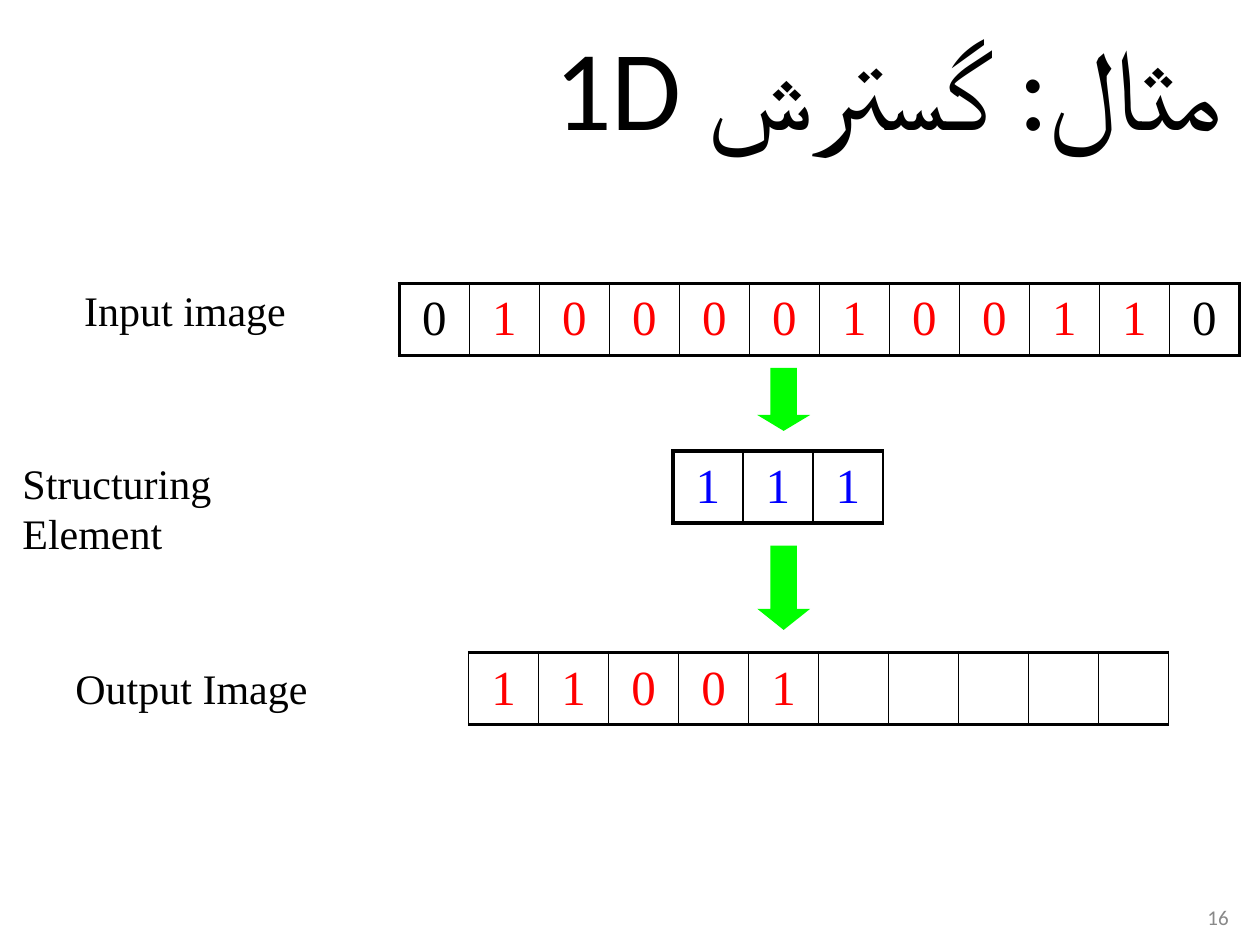
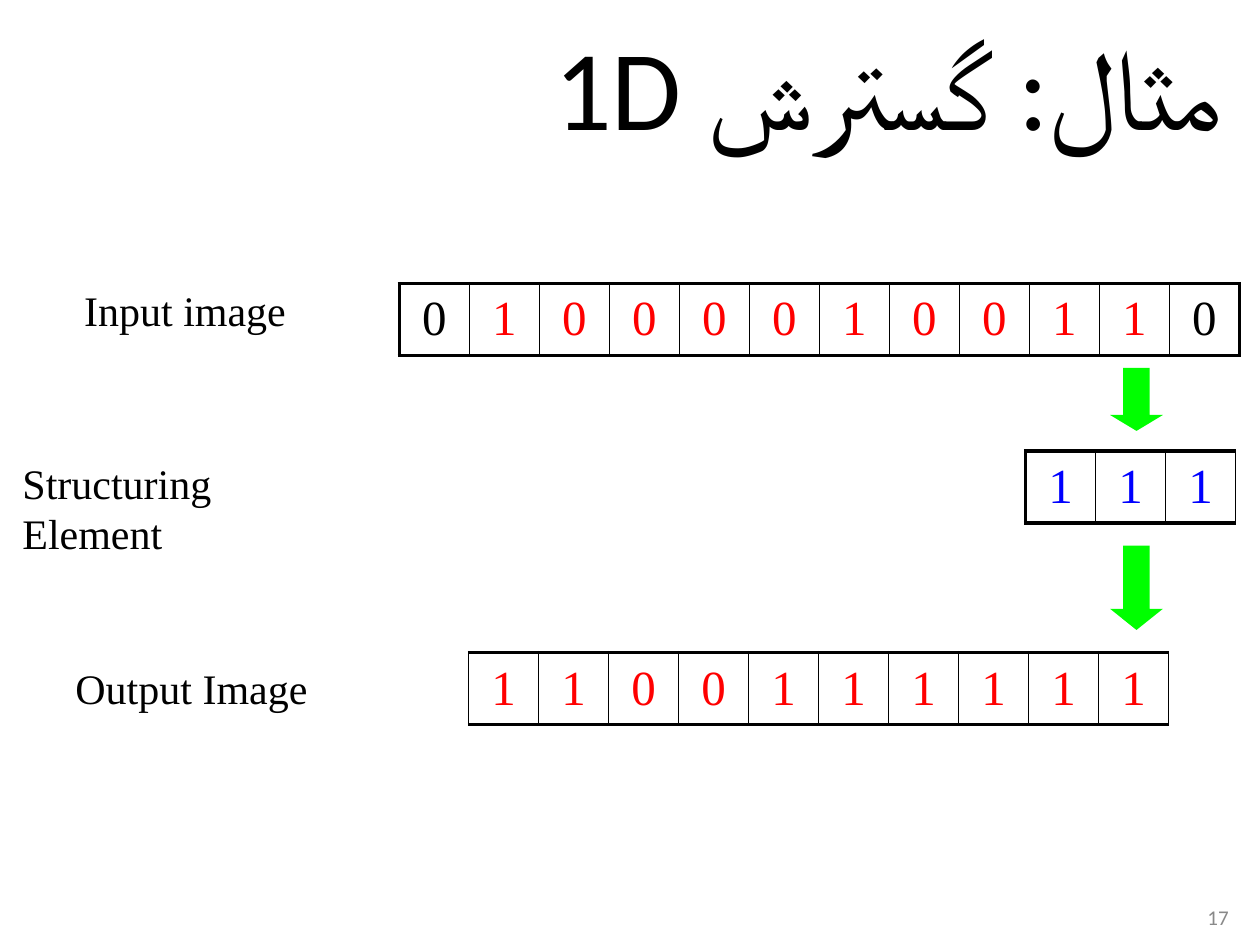
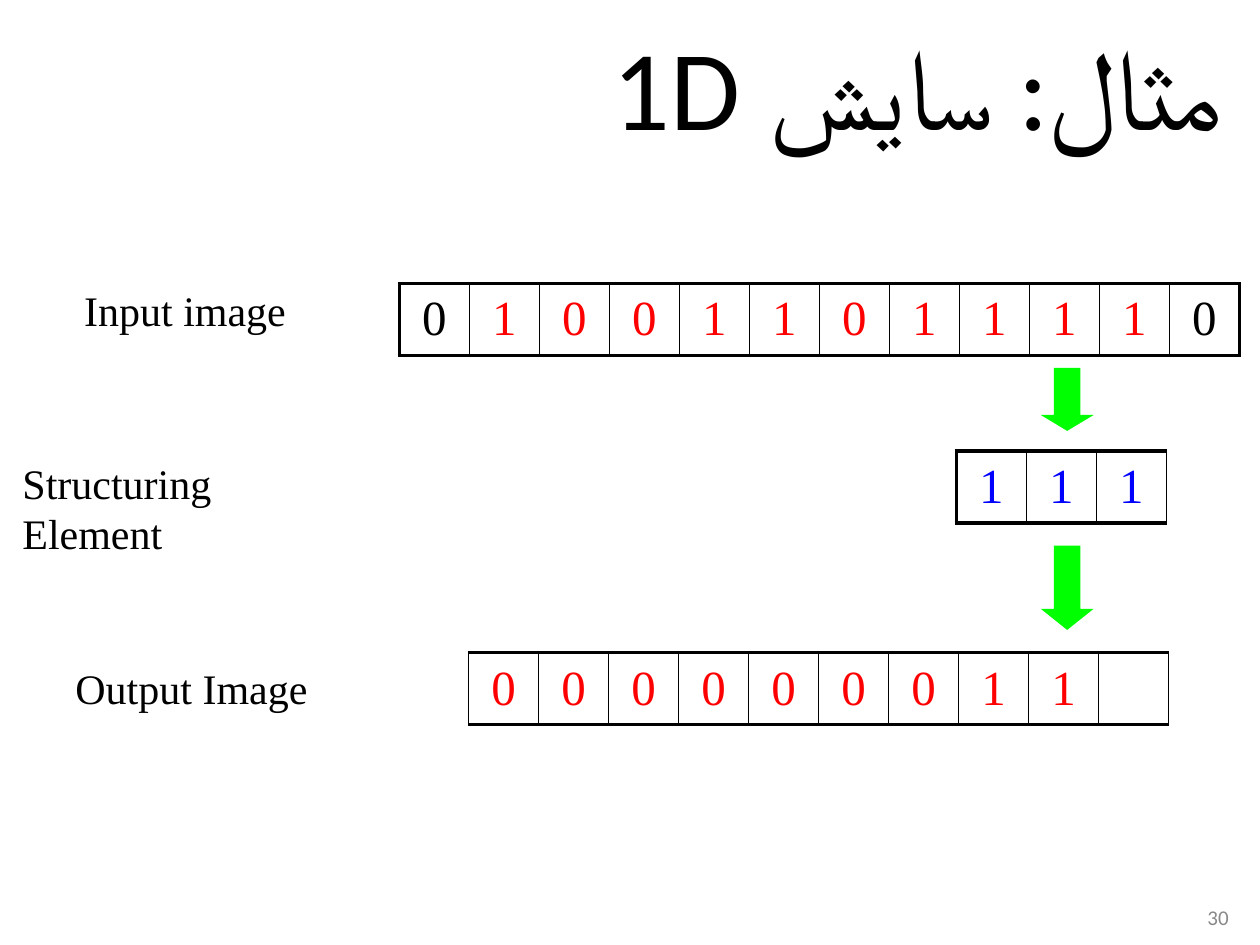
from lxml.etree import SubElement
from pptx import Presentation
from pptx.dml.color import RGBColor
from pptx.enum.shapes import MSO_SHAPE
from pptx.enum.text import MSO_ANCHOR, MSO_AUTO_SIZE, PP_ALIGN
from pptx.oxml.ns import qn
from pptx.util import Inches, Pt

BLACK, RED, BLUE = "000000", "FF0000", "0000FF"
GREEN, GREY = "00FF00", "898989"
SANS, SERIF = "Calibri", "Times New Roman"
CELL, HIGH = Inches(5 / 9), Inches(0.57)
THIN, THICK = Pt(1), Pt(2.25)

# Each label: text, left, top, width
LABELS = [
    ("Input image", 0.57, 2.21, 1.8),
    ("Structuring Element", 0.08, 3.58, 2.89),
    ("Output Image", 0.5, 5.21, 2.04),
]
# Each arrow: top, height, head length as a share of the width
ARROWS = [(2.92, 0.5, 0.3), (4.33, 0.67, 0.4)]

DILATE = [("مثال: گسترش 1D", SANS)]
ERODE = [("مثال: ", SANS), ("سایش ", SERIF), ("1D", SANS)]

# Each slide: title runs, page, input bits, left of the element, output bits
SLIDES = [
    (DILATE, "16", "010000100110", 5.34, "11001     "),
    (DILATE, "17", "010000100110", 8.14, "1100111111"),
    (ERODE, "30", "010011011110", 7.59, "000000011 "),
]


def color(code):
    return RGBColor.from_string(code)


def write(frame, text, font=SERIF, size=24, tint=BLACK, align=None):
    """Add a run to the first paragraph of a frame."""
    para = frame.paragraphs[0]
    if align is not None:
        para.alignment = align
    run = para.add_run()
    run.text = text
    run.font.name = font
    run.font.size = Pt(size)
    run.font.color.rgb = color(tint)
    return run


def add_title(slide, runs):
    title = slide.shapes.title
    title.left, title.top = Inches(-0.02), Inches(0.05)
    title.width, title.height = Inches(10.02), Inches(1.25)
    frame = title.text_frame
    frame.auto_size = MSO_AUTO_SIZE.NONE
    frame.vertical_anchor = MSO_ANCHOR.MIDDLE
    props = frame.paragraphs[0]._p.get_or_add_pPr()
    props.set("rtl", "1")
    props.set("marL", str(Inches(0.2)))
    props.set("indent", "0")
    for text, font in runs:
        run = write(frame, text, font=font, size=65, align=PP_ALIGN.JUSTIFY)
        SubElement(run.font._element, qn("a:cs"), typeface=font)


def add_page(slide, page):
    box = slide.shapes.add_textbox(
        Inches(7.52), Inches(7.08), Inches(2.33), Inches(0.4))
    frame = box.text_frame
    frame.word_wrap = True
    frame.vertical_anchor = MSO_ANCHOR.MIDDLE
    write(frame, page, font=SANS, size=12, tint=GREY, align=PP_ALIGN.RIGHT)


def add_label(slide, text, left, top, width):
    box = slide.shapes.add_textbox(
        Inches(left), Inches(top), Inches(width), Inches(0.5))
    frame = box.text_frame
    frame.word_wrap = False
    frame.auto_size = MSO_AUTO_SIZE.SHAPE_TO_FIT_TEXT
    write(frame, text)


def add_arrow(slide, left, top, height, head):
    arrow = slide.shapes.add_shape(
        MSO_SHAPE.DOWN_ARROW, Inches(left), Inches(top),
        Inches(0.42), Inches(height))
    arrow.adjustments[0], arrow.adjustments[1] = 0.5, head
    arrow.shadow.inherit = False
    arrow.fill.solid()
    arrow.fill.fore_color.rgb = color(GREEN)
    arrow.line.fill.background()


def add_edges(cell, left, right):
    """Draw the cell's borders; top and bottom are always thick."""
    props = cell._tc.get_or_add_tcPr()
    sides = {"L": left, "R": right, "T": THICK, "B": THICK}
    for side, width in sides.items():
        edge = SubElement(props, qn("a:ln" + side), w=str(width))
        fill = SubElement(edge, qn("a:solidFill"))
        SubElement(fill, qn("a:srgbClr"), val=BLACK)


def add_strip(slide, left, top, bits, tint, start=THIN, end=THIN, rim=None):
    """Draw a row of pixels; rim colours the padding at both ends."""
    count = len(bits)
    table = slide.shapes.add_table(
        1, count, Inches(left), Inches(top), CELL * count, HIGH).table
    table.first_row = table.horz_banding = False
    table.rows[0].height = HIGH
    for i, bit in enumerate(bits):
        table.columns[i].width = CELL
        cell = table.cell(0, i)
        cell.vertical_anchor = MSO_ANCHOR.MIDDLE
        first, last = i == 0, i == count - 1
        add_edges(cell, start if first else THIN, end if last else THIN)
        cell.fill.background()
        if bit != " ":
            shade = rim if rim and (first or last) else tint
            write(cell.text_frame, bit, size=28, tint=shade,
                  align=PP_ALIGN.CENTER)


def add_slide(deck, runs, page, source, left, result):
    slide = deck.slides.add_slide(deck.slide_layouts[5])
    add_title(slide, runs)
    add_page(slide, page)
    for label in LABELS:
        add_label(slide, *label)
    for arrow in ARROWS:
        add_arrow(slide, left + 0.67, *arrow)
    add_strip(slide, 3.17, 2.25, source, RED, THICK, THICK, rim=BLACK)
    add_strip(slide, left, 3.58, "111", BLUE, start=THICK)
    add_strip(slide, 3.72, 5.18, result, RED)


def main():
    deck = Presentation()
    deck.slide_width, deck.slide_height = Inches(10), Inches(7.5)
    for row in SLIDES:
        add_slide(deck, *row)
    deck.save("out.pptx")


if __name__ == "__main__":
    main()
